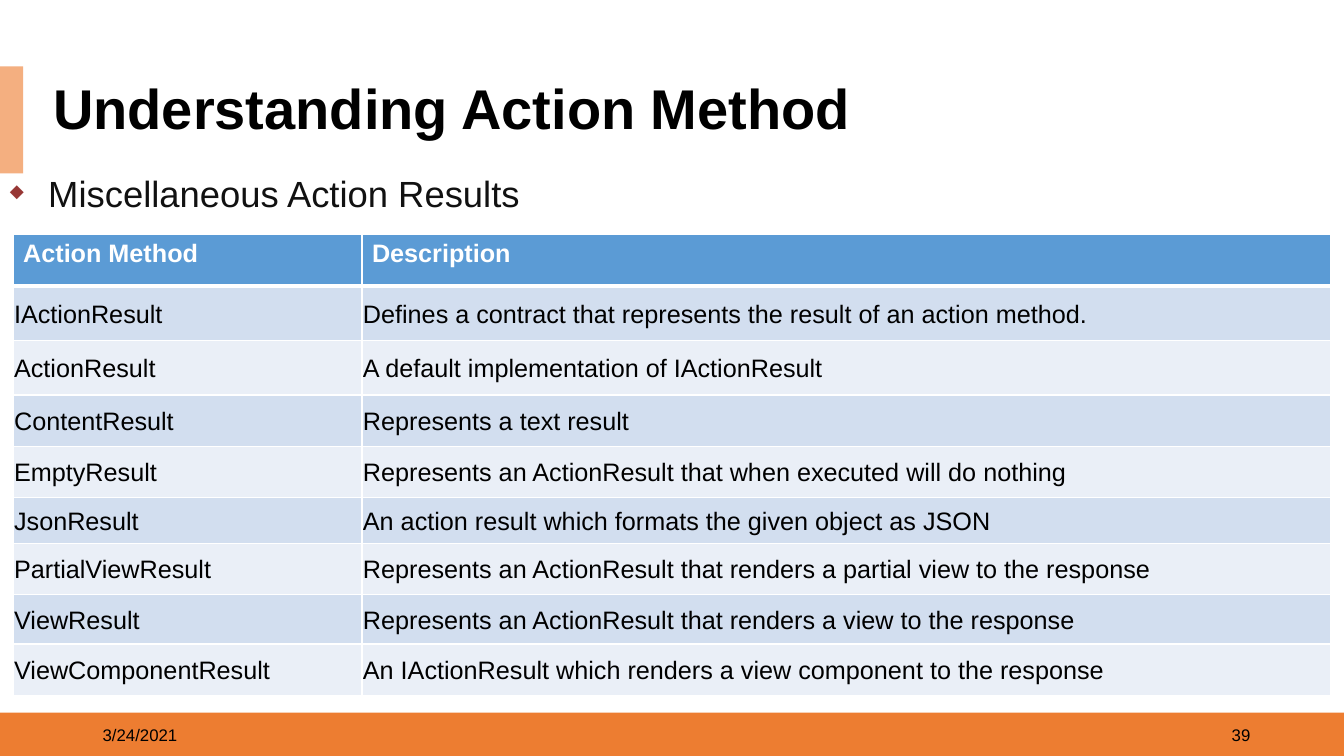
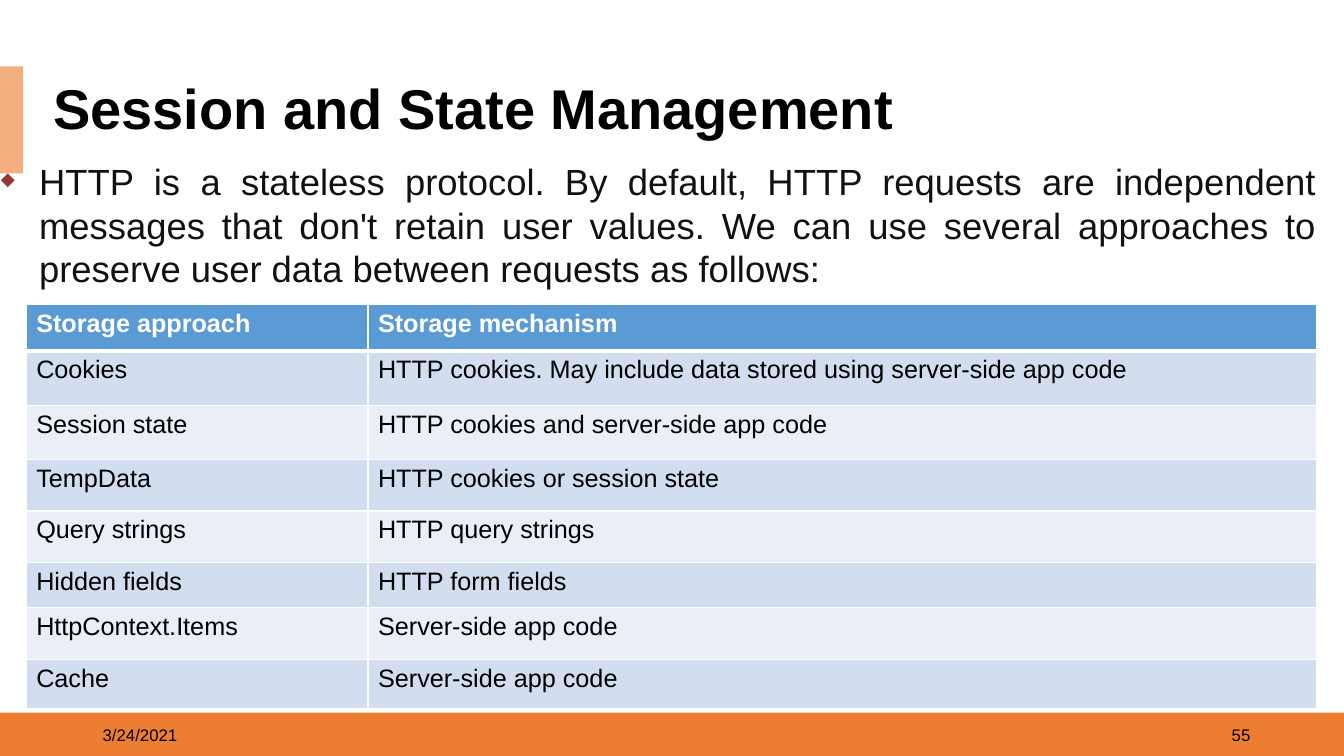
from dataclasses import dataclass

from lxml.etree import SubElement
from pptx import Presentation
from pptx.dml.color import RGBColor
from pptx.enum.shapes import MSO_SHAPE
from pptx.enum.text import MSO_ANCHOR, PP_ALIGN
from pptx.oxml.ns import qn
from pptx.util import Inches, Pt


@dataclass(frozen=True)
class Theme:
    font: str = "Arial"
    black: str = "000000"
    white: str = "FFFFFF"
    body: str = "111111"
    bullet: str = "973735"
    footer_band: str = "ED7D31"
    title_tab: str = "F4AF80"
    header: str = "5B9BD5"
    bands: tuple = ("D2DEEF", "EAEFF7")
    title_size: int = 40
    body_size: int = 26
    table_size: int = 18
    footer_size: int = 12


T = Theme()

SLIDES = [
    {
        "title": "Understanding Action Method",
        "number": "39",
        "body": "Miscellaneous Action Results",
        "body_box": (0, 1.65, 6.69, 0.54),
        "body_gap": 0,
        "table_at": (0.13, 2.33),
        "cols": (3.46, 9.61),
        "row_heights": (0.51, 0.54, 0.54, 0.51, 0.51, 0.45, 0.51, 0.49, 0.51),
        "tight_cells": True,
        "rows": [
            ("Action Method", "Description"),
            ("IActionResult", "Defines a contract that represents the result of an action method."),
            ("ActionResult", "A default implementation of IActionResult"),
            ("ContentResult", "Represents a text result"),
            ("EmptyResult", "Represents an ActionResult that when executed will do nothing"),
            ("JsonResult", "An action result which formats the given object as JSON"),
            ("PartialViewResult", "Represents an ActionResult that renders a partial view to the response"),
            ("ViewResult", "Represents an ActionResult that renders a view to the response"),
            ("ViewComponentResult", "An IActionResult which renders a view component to the response"),
        ],
    },
    {
        "title": "Session and State Management",
        "number": "55",
        "body": "HTTP is a stateless protocol. By default, HTTP requests are independent "
                "messages that don't retain user values. We can use several approaches to "
                "preserve user data between requests as follows:",
        "body_box": (-0.09, 1.53, 13.26, 1.41),
        "body_gap": 12,
        "table_at": (0.26, 3.02),
        "cols": (3.39, 9.41),
        "row_heights": (0.46, 0.54, 0.54, 0.51, 0.51, 0.45, 0.51, 0.49),
        "tight_cells": False,
        "rows": [
            ("Storage approach", "Storage mechanism"),
            ("Cookies", "HTTP cookies. May include data stored using server-side app code"),
            ("Session state", "HTTP cookies and server-side app code"),
            ("TempData", "HTTP cookies or session state"),
            ("Query strings", "HTTP query strings"),
            ("Hidden fields", "HTTP form fields"),
            ("HttpContext.Items", "Server-side app code"),
            ("Cache", "Server-side app code"),
        ],
    },
]


def write(tf, text, size, color, bold=False):
    """Fill the first paragraph of a text frame with one run and return it."""
    p = tf.paragraphs[0]
    r = p.add_run()
    r.text = text
    r.font.name = T.font
    r.font.size = Pt(size)
    r.font.bold = bold
    r.font.color.rgb = RGBColor.from_string(color)
    return p


def add_text(s, box, text, size, color, bold=False, anchor=MSO_ANCHOR.MIDDLE):
    tf = s.shapes.add_textbox(*map(Inches, box)).text_frame
    tf.word_wrap = True
    tf.vertical_anchor = anchor
    return write(tf, text, size, color, bold)


prs = Presentation()
prs.slide_width, prs.slide_height = Inches(13.33), Inches(7.5)

for page in SLIDES:
    s = prs.slides.add_slide(prs.slide_layouts[6])

    # Bands, footer and title
    for box, color in (((0, 7.07, 13.33, 0.44), T.footer_band),
                       ((0, 0.66, 0.23, 1.06), T.title_tab)):
        band = s.shapes.add_shape(MSO_SHAPE.RECTANGLE, *map(Inches, box))
        band.shadow.inherit = False
        band.fill.solid()
        band.fill.fore_color.rgb = RGBColor.from_string(color)
        band.line.fill.background()
    add_text(s, (0.92, 7.09, 3, 0.4), "3/24/2021", T.footer_size, T.black)
    p = add_text(s, (9.5, 7.09, 3, 0.4), page["number"], T.footer_size, T.black)
    p.alignment = PP_ALIGN.RIGHT
    p = add_text(s, (0.43, 0.79, 12.2, 0.63), page["title"], T.title_size, T.black, bold=True)
    p.line_spacing = 0.9

    # Bulleted lead-in
    p = add_text(s, page["body_box"], page["body"], T.body_size, T.body, anchor=MSO_ANCHOR.TOP)
    p.alignment = PP_ALIGN.JUSTIFY
    p.space_before = p.space_after = Pt(page["body_gap"])
    pPr = p._p.get_or_add_pPr()
    pPr.set("marL", str(Inches(0.38)))
    pPr.set("indent", str(-Inches(0.38)))
    SubElement(SubElement(pPr, qn("a:buClr")), qn("a:srgbClr"), val=T.bullet)
    SubElement(pPr, qn("a:buSzPct"), val="50000")
    SubElement(pPr, qn("a:buChar"), char="◆")

    # Table
    rows, cols, heights = page["rows"], page["cols"], page["row_heights"]
    size = (sum(cols), sum(heights))
    table = s.shapes.add_table(len(rows), len(cols), *map(Inches, page["table_at"] + size)).table
    for column, width in zip(table.columns, cols):
        column.width = Inches(width)
    for i, (row, height, texts) in enumerate(zip(table.rows, heights, rows)):
        row.height = Inches(height)
        is_header = i == 0
        for cell, text in zip(row.cells, texts):
            p = write(cell.text_frame, text, T.table_size,
                      T.white if is_header else T.black, bold=is_header)
            if page["tight_cells"] and not is_header:
                p.line_spacing = 1.07
                cell.vertical_anchor = MSO_ANCHOR.MIDDLE
                cell.margin_left = cell.margin_right = Inches(0.01)
                cell.margin_top = cell.margin_bottom = Inches(0.01)
            tcPr = cell._tc.get_or_add_tcPr()
            for side in "LRTB":
                thick = (is_header and side == "B") or (i == 1 and side == "T")
                ln = SubElement(tcPr, qn(f"a:ln{side}"), w=str(Pt(3 if thick else 1)))
                SubElement(SubElement(ln, qn("a:solidFill")), qn("a:srgbClr"), val=T.white)
            cell.fill.solid()
            cell.fill.fore_color.rgb = RGBColor.from_string(
                T.header if is_header else T.bands[(i - 1) % 2])

prs.save("out.pptx")
